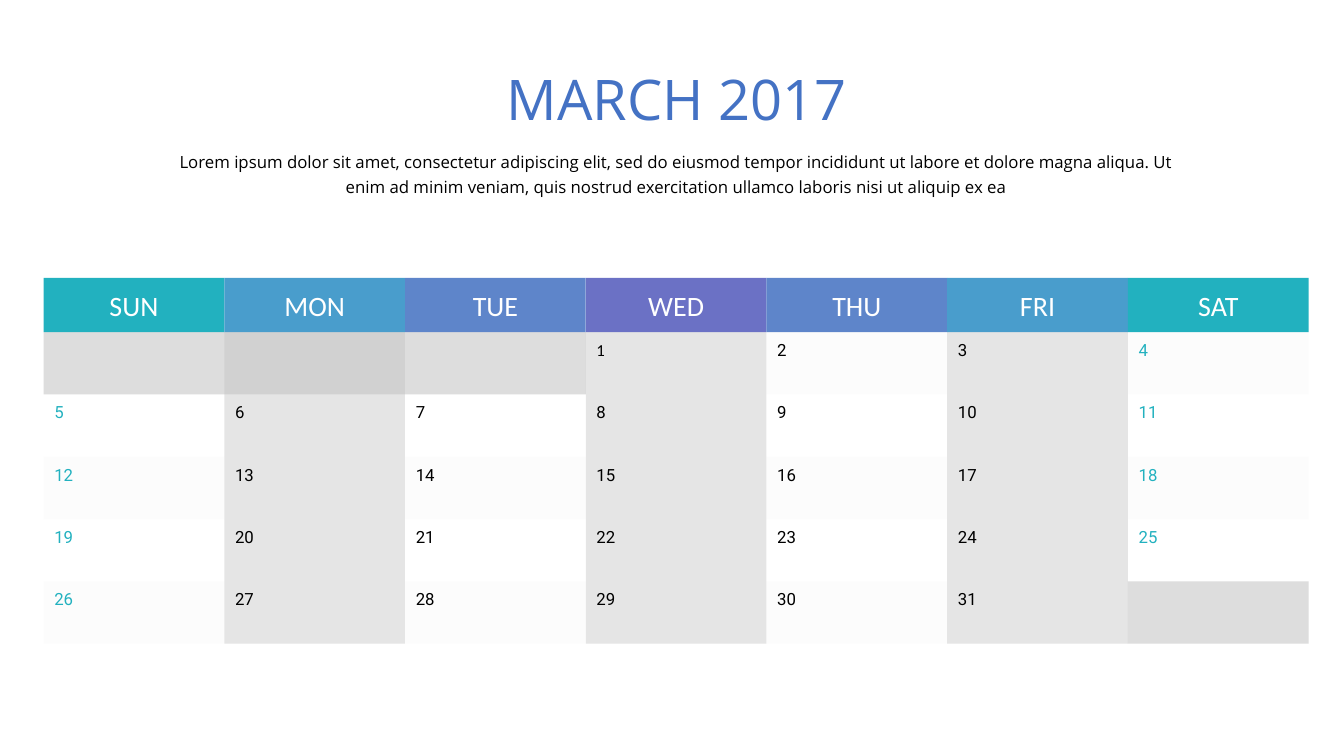
from dataclasses import dataclass

from lxml.etree import SubElement
from pptx import Presentation
from pptx.dml.color import RGBColor as RGB
from pptx.enum.shapes import MSO_SHAPE as Shape
from pptx.enum.text import MSO_ANCHOR as Anchor, PP_ALIGN as Align
from pptx.oxml.ns import qn
from pptx.util import Cm, Pt


@dataclass(frozen=True)
class Theme:
    """Colours, fonts and type sizes of the calendar."""
    teal: str = "22B1BF"
    sky: str = "499DCC"
    blue: str = "5E85CA"
    violet: str = "6B71C5"
    title: str = "4472C4"
    ink: str = "000000"
    white: str = "FFFFFF"
    band: str = "E7E6E6"
    blocked: str = "BFBFBF"
    heading_font: str = "Open Sans"
    weekday_font: str = "Calibri"
    day_font: str = "Roboto"
    title_size: int = 40
    weekday_size: int = 20
    body_size: int = 12


T = Theme()
TITLE = "MARCH 2017"
INTRO = ("Lorem ipsum dolor sit amet, consectetur adipiscing elit, sed do eiusmod "
         "tempor incididunt ut labore et dolore magna aliqua. Ut enim ad minim veniam, "
         "quis nostrud exercitation ullamco laboris nisi ut aliquip ex ea")
WEEKDAYS = {"SUN": T.teal, "MON": T.sky, "TUE": T.blue, "WED": T.violet,
            "THU": T.blue, "FRI": T.sky, "SAT": T.teal}
COLS, ROWS = len(WEEKDAYS), 5
FIRST_COL, DAYS = 3, 31


def write(sp, text, font, size, color, inset=0, spacing=None, **frame):
    """Fill the text frame of a shape with one formatted paragraph."""
    tf = sp.text_frame
    align = frame.pop("align", Align.LEFT)
    margins = {f"margin_{side}": Cm(inset) for side in ("left", "top", "right", "bottom")}
    for name, value in {"word_wrap": True, **margins, **frame}.items():
        setattr(tf, name, value)
    p = tf.paragraphs[0]
    p.alignment, p.line_spacing = align, spacing
    r = p.add_run()
    r.text = text
    for name, value in {"name": font, "size": Pt(size)}.items():
        setattr(r.font, name, value)
    r.font.color.rgb = RGB.from_string(color)


def add_rect(s, x, y, w, h, color, opacity=100):
    """Draw a borderless rectangle, in cm, with opacity in percent."""
    sp = s.shapes.add_shape(Shape.RECTANGLE, Cm(x), Cm(y), Cm(w), Cm(h))
    sp.shadow.inherit = False
    sp.fill.solid()
    sp.fill.fore_color.rgb = RGB.from_string(color)
    sp.line.fill.background()
    if opacity < 100:
        for clr in sp.element.spPr.iter(qn("a:srgbClr")):
            SubElement(clr, qn("a:alpha"), val=str(opacity * 1000))
    return sp


def add_text(s, x, y, w, h, *args, **kwargs):
    """Place a text box, in cm."""
    write(s.shapes.add_textbox(Cm(x), Cm(y), Cm(w), Cm(h)), *args, **kwargs)


def add_heading(s, x, y, w):
    """Place the month and the introduction below it."""
    add_text(s, x, y, w, 1.7, TITLE, T.heading_font, T.title_size, T.title,
             align=Align.CENTER)
    add_text(s, x, y + 2.06, w, 1.27, INTRO, T.heading_font, T.body_size, T.ink,
             align=Align.CENTER, spacing=1.25)


def add_weekdays(s, x, y, w, h):
    """Place the row of coloured weekday names."""
    col_w = w / COLS
    for col, (name, color) in enumerate(WEEKDAYS.items()):
        sp = add_rect(s, x + col * col_w, y, col_w, h, color)
        write(sp, name, T.weekday_font, T.weekday_size, T.white, inset=0.15,
              align=Align.CENTER, vertical_anchor=Anchor.MIDDLE)


def add_shading(s, x, y, w, h):
    """Shade alternate columns and rows and the cells outside the month."""
    col_w, row_h = w / COLS, h / ROWS
    for col in range(1, COLS, 2):
        add_rect(s, x + col * col_w, y, col_w, h, T.ink, 10)
    for row in range(0, ROWS, 2):
        add_rect(s, x, y + row * row_h, w, row_h, T.band, 10)
    last_row, end_col = divmod(FIRST_COL + DAYS, COLS)
    for row, start, stop in ((0, 0, FIRST_COL), (last_row, end_col, COLS)):
        add_rect(s, x + start * col_w, y + row * row_h, (stop - start) * col_w,
                 row_h, T.blocked, 50)


def add_days(s, x, y, w, h):
    """Place the day numbers in the top left of their cells."""
    for day in range(1, DAYS + 1):
        row, col = divmod(FIRST_COL + day - 1, COLS)
        font = T.weekday_font if day == 1 else T.day_font
        color = T.teal if col in (0, COLS - 1) else T.ink
        add_text(s, x + col * w / COLS + 0.12, y + row * h / ROWS, 1.65, 0.89,
                 str(day), font, T.body_size, color, inset=0.15,
                 vertical_anchor=Anchor.MIDDLE)


def add_calendar(s, x, y, w, h, header_h):
    """Place the weekday header and the month grid."""
    body = (x, y + header_h, w, h - header_h)
    add_shading(s, *body)
    add_weekdays(s, x, y, w, header_h)
    add_days(s, *body)


def main():
    """Build and save the calendar slide."""
    prs = Presentation()
    prs.slide_width, prs.slide_height = Cm(33.87), Cm(19.05)
    s = prs.slides.add_slide(prs.slide_layouts[6])
    add_heading(s, 4.35, 1.63, 25.4)
    add_calendar(s, 1.1, 7, 32.13 - 0.25, 9.22, 1.37)
    prs.save("out.pptx")


if __name__ == "__main__":
    main()
